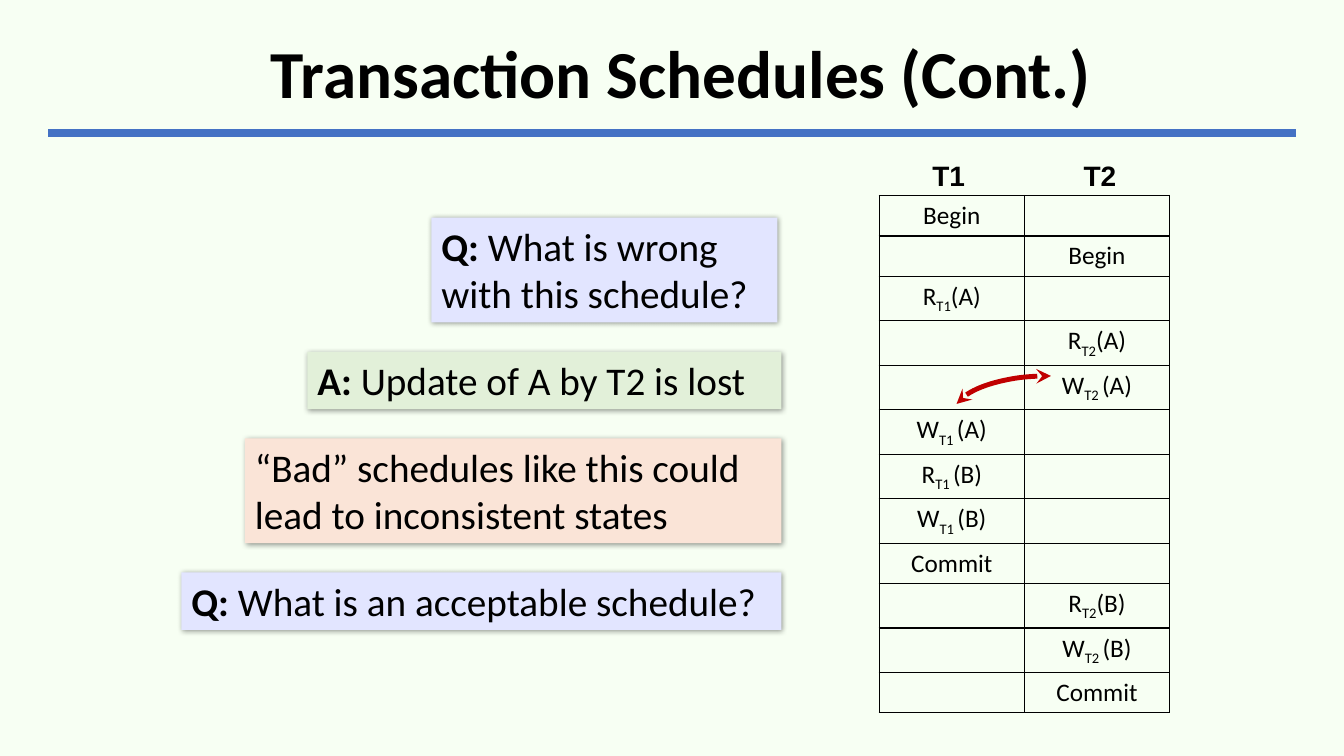
from lxml import etree
from pptx import Presentation
from pptx.dml.color import RGBColor
from pptx.enum.shapes import MSO_CONNECTOR, MSO_SHAPE
from pptx.enum.text import MSO_ANCHOR, PP_ALIGN
from pptx.oxml.ns import qn
from pptx.util import Inches, Pt

RECT, ARC = MSO_SHAPE.RECTANGLE, MSO_SHAPE.ARC
LINE = MSO_CONNECTOR.STRAIGHT
LEFT, CENTER = PP_ALIGN.LEFT, PP_ALIGN.CENTER
TOP, MIDDLE = MSO_ANCHOR.TOP, MSO_ANCHOR.MIDDLE
WIDE, HIGH = 13.33, 7.5

TITLE = {"name": "Calibri", "size": Pt(48), "bold": True}
HEAD = {"name": "Arial", "size": Pt(20), "bold": True}
NOTE = {"name": "Calibri", "size": Pt(28), "bold": False}
STEP = {"name": "Calibri", "size": Pt(18), "bold": False}

# Left edge, width, line count, fill, bold lead, text
NOTES = [
    (4.28, 3.43, 2, "E2E5FF", "Q:", " What is wrong with this schedule?"),
    (3.05, 4.7, 1, "E2F0D9", "A:", " Update of A by T2 is lost"),
    (2.43, 5.32, 2, "FAE4D7", "",
     "“Bad” schedules like this could lead to inconsistent states"),
    (1.8, 5.95, 1, "E2E5FF", "Q:", " What is an acceptable schedule?"),
]
# Column and step; the middle part of a step is its subscript
STEPS = [
    (0, "Begin"), (1, "Begin"), (0, "R|T1|(A)"), (1, "R|T2|(A)"),
    (1, "W|T2 |(A)"), (0, "W|T1 |(A)"), (0, "R|T1 |(B)"), (0, "W|T1 |(B)"),
    (0, "Commit"), (1, "R|T2|(B)"), (1, "W|T2 |(B)"), (1, "Commit"),
]


def color(code):
    return RGBColor.from_string(code)


def inches(*box):
    return [Inches(v) for v in box]


def node(up, tag, **attrs):
    return etree.SubElement(up, qn(tag), attrs)


def write(para, text, look, **more):
    run = para.add_run()
    run.text = text
    for key, val in {**look, **more}.items():
        setattr(run.font, key, val)
    run.font.color.rgb = color("000000")
    return run


def frame(shape, anchor):
    text = shape.text_frame
    text.word_wrap = True
    text.vertical_anchor = anchor
    return text.paragraphs[0]


def header(slide, left, top, width, height):
    # Title and the rule below it
    title = slide.shapes.title
    title.left, title.top, title.width, title.height = inches(
        left, top, width, height)
    para = frame(title, MIDDLE)
    para.alignment, para.line_spacing = CENTER, 0.9
    write(para, " ", TITLE, name="Arial")
    write(para, "Transaction Schedules (Cont.)", TITLE)
    low = top + height + 0.04
    rule = slide.shapes.add_connector(
        LINE, *inches(left, low, left + width, low))
    rule.line.color.rgb = color("4472C4")
    rule.line.width = Pt(6)
    node(rule._element.spPr, "a:effectLst")


def shade(shape):
    effects = node(shape._element.spPr, "a:effectLst")
    shadow = node(effects, "a:outerShdw", blurRad=str(Pt(4)),
                  dist=str(Pt(1)), dir="2700000", algn="tl", rotWithShape="0")
    tone = node(shadow, "a:srgbClr", val="000000")
    node(tone, "a:alpha", val="40000")


def notes(slide, top, gap):
    # Questions and answers, stacked with equal gaps
    for left, width, lines, fill, lead, text in NOTES:
        height = 0.1 + 0.47 * lines
        card = slide.shapes.add_shape(RECT, *inches(left, top, width, height))
        card.fill.solid()
        card.fill.fore_color.rgb = color(fill)
        card.line.fill.background()
        shade(card)
        para = frame(card, TOP)
        para.alignment = LEFT
        if lead:
            write(para, lead, NOTE, bold=True)
        write(para, text, NOTE)
        top += height + gap


def edge(cell):
    cell.fill.background()
    props = cell._tc.get_or_add_tcPr()
    for spot, side in enumerate("LRTB"):
        line = etree.Element(qn("a:ln" + side), w=str(Pt(1)))
        node(node(line, "a:solidFill"), "a:srgbClr", val="000000")
        props.insert(spot, line)


def schedule(slide, left, top, width, height):
    # Column heads above the grid of steps
    for col, name in enumerate(("T1", "T2")):
        head = slide.shapes.add_textbox(
            *inches(left + 0.25 + 1.5 * col, top - 0.67, 0.88, 0.67))
        para = frame(head, TOP)
        para.alignment, para.line_spacing = CENTER, Pt(42)
        write(para, name, HEAD)
    grid = slide.shapes.add_table(
        len(STEPS), 2, *inches(left, top, width, height)).table
    grid.first_row = grid.horz_banding = False
    for cell in grid.iter_cells():
        edge(cell)
    for row, (col, step) in enumerate(STEPS):
        para = grid.cell(row, col).text_frame.paragraphs[0]
        para.alignment = CENTER
        for part, text in enumerate(step.split("|")):
            run = write(para, text, STEP)
            if part == 1:
                run._r.get_or_add_rPr().set("baseline", "-25000")


def clash(slide, *box):
    # Curved arrow between the two conflicting writes
    arc = slide.shapes.add_shape(ARC, *inches(*box))
    arc.adjustments[0], arc.adjustments[1] = 159.88, 211.97
    arc._element.spPr.xfrm.set("flipH", "1")
    arc.shadow.inherit = False
    arc.fill.background()
    arc.line.color.rgb = color("C00000")
    arc.line.width = Pt(3.5)
    for end in ("a:headEnd", "a:tailEnd"):
        node(arc.line._get_or_add_ln(), end, type="stealth")


def main():
    deck = Presentation()
    deck.slide_width, deck.slide_height = inches(WIDE, HIGH)
    slide = deck.slides.add_slide(deck.slide_layouts[5])
    back = slide.background.fill
    back.solid()
    back.fore_color.rgb = color("F7FFF3")
    header(slide, 0.48, 0.24, 12.37, 1.04)
    schedule(slide, 8.72, 1.94, 2.88, 4.8)
    notes(slide, 2.16, 0.29)
    clash(slide, 9.45, 3.73, 1.9, 0.77)
    deck.save("out.pptx")


if __name__ == "__main__":
    main()
